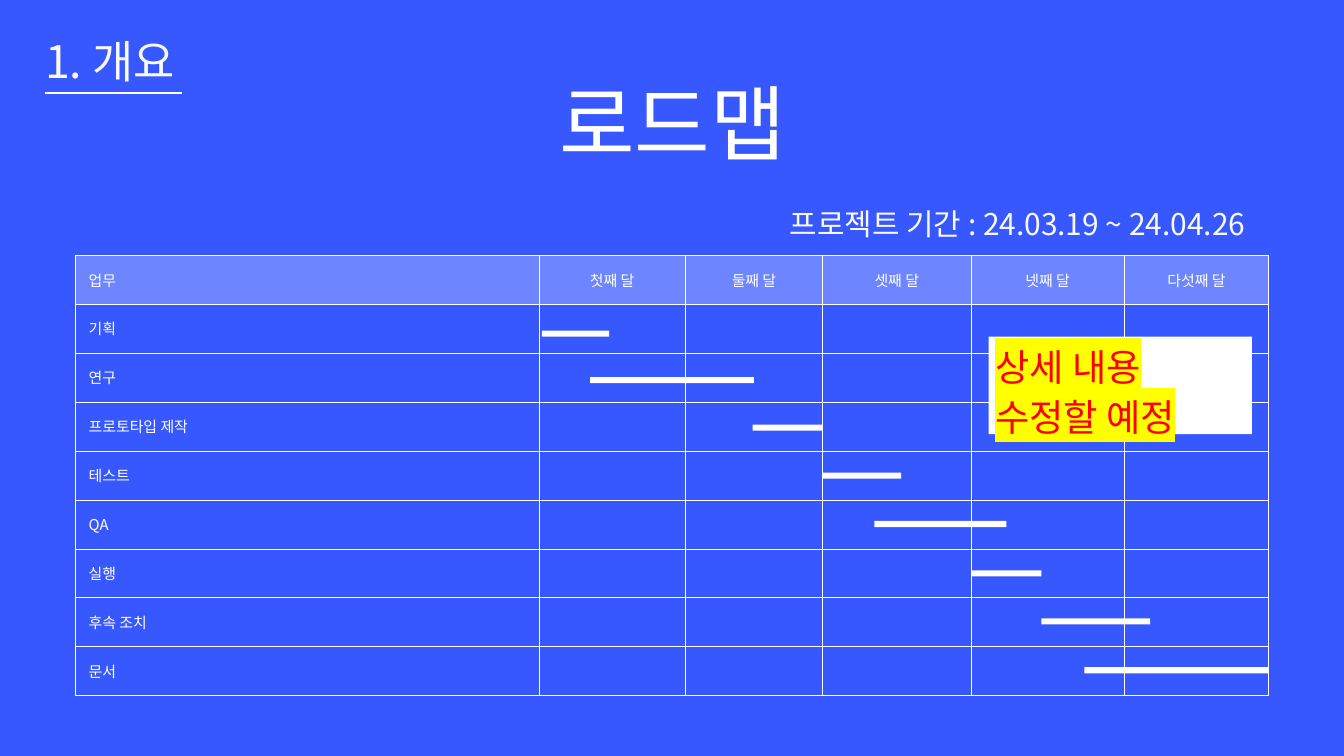
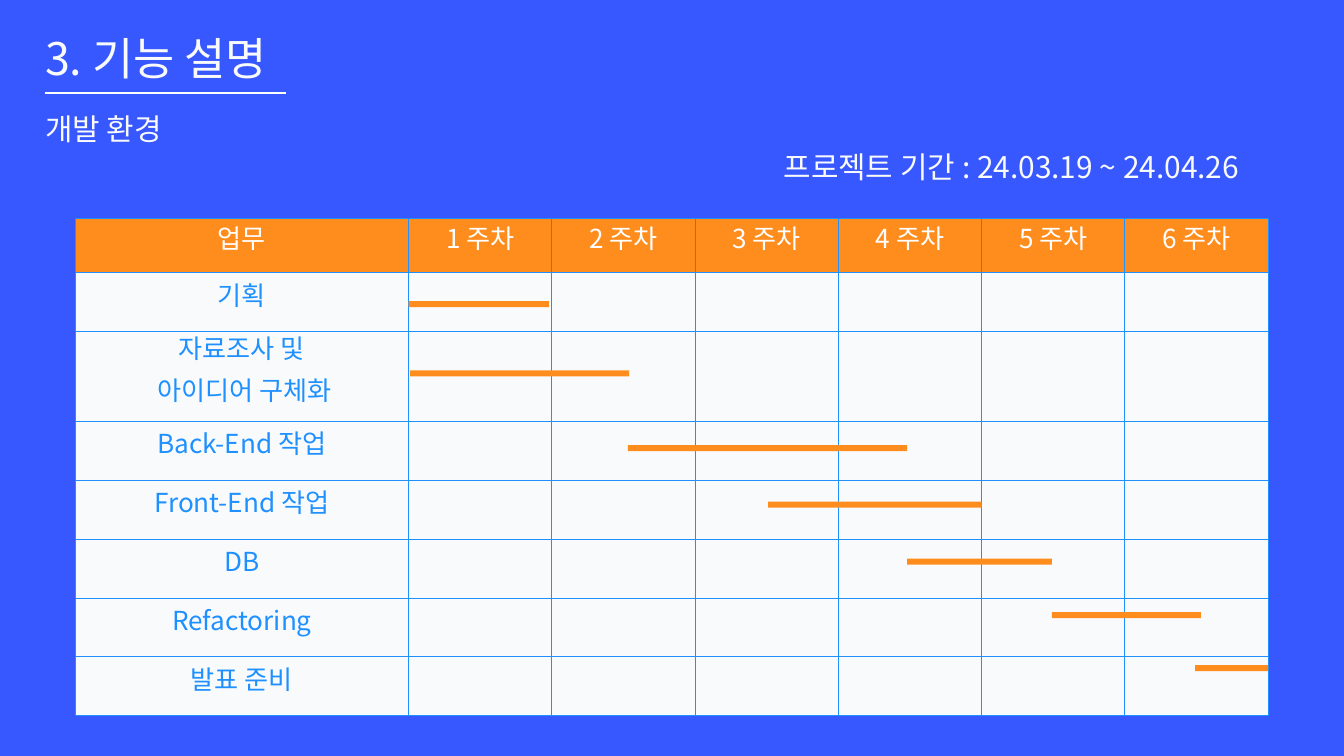
"""Build two project schedule slides, each a task table with time bars."""
from dataclasses import dataclass
from itertools import accumulate

from lxml import etree
from pptx import Presentation
from pptx.dml.color import RGBColor
from pptx.enum.shapes import MSO_CONNECTOR, MSO_SHAPE
from pptx.enum.text import MSO_ANCHOR, MSO_AUTO_SIZE, PP_ALIGN
from pptx.oxml.ns import qn
from pptx.util import Inches, Pt

LEFT, CENTER = PP_ALIGN.LEFT, PP_ALIGN.CENTER
TOP, MIDDLE = MSO_ANCHOR.TOP, MSO_ANCHOR.MIDDLE
GROW = MSO_AUTO_SIZE.SHAPE_TO_FIT_TEXT
STRAIGHT, RECTANGLE = MSO_CONNECTOR.STRAIGHT, MSO_SHAPE.RECTANGLE
TITLE_ONLY = 5
WIDTH, HEIGHT = Inches(20), Inches(11.25)
PERIOD = "프로젝트 기간 : 24.03.19 ~ 24.04.26"


@dataclass(frozen=True)
class Theme:
    """Colours, type sizes and spacings of the deck."""
    font: str = "Noto Sans CJK KR"
    blue: str = "3858FF"
    light_blue: str = "6D85FF"
    sky: str = "1E90FF"
    orange: str = "FF8D1E"
    white: str = "FFFFFF"
    paper: str = "F9FAFB"
    red: str = "FF0000"
    yellow: str = "FFFF00"
    title: int = 88
    heading: int = 48
    note: int = 40
    body: int = 32
    leading: float = 1.0
    heading_leading: float = 1.05
    note_leading: float = 1.1
    title_leading: float = 114.4
    cell_leading: float = 22.4


THEME = Theme()


@dataclass(frozen=True)
class TableLook:
    """Colours, type size, alignment and rules of one schedule table."""
    head_fill: str
    body_fill: str
    body_text: str
    bar: str
    rule: str
    size: int
    label_align: PP_ALIGN
    inner: float
    outer: float


MONTHLY = TableLook(THEME.light_blue, THEME.blue, THEME.white, THEME.white,
                    THEME.white, 16, LEFT, 0.4, 0.69)
WEEKLY = TableLook(THEME.orange, THEME.paper, THEME.sky, THEME.orange,
                   THEME.sky, 28, CENTER, 1, 1)


def across(percent):
    """Turn a percentage of the slide width into a length."""
    return round(WIDTH * percent / 100)


def down(percent):
    """Turn a percentage of the slide height into a length."""
    return round(HEIGHT * percent / 100)


def place(area):
    """Turn left, top, width and height percentages into lengths."""
    left, top, width, height = area
    return across(left), down(top), across(width), down(height)


def paint(shape, color):
    """Give a shape a plain fill without line or shadow."""
    shape.shadow.inherit = False
    shape.fill.solid()
    shape.fill.fore_color.rgb = RGBColor.from_string(color)
    shape.line.fill.background()


def add_span(para, text, size, color, highlight=None):
    """Add one formatted run to a paragraph."""
    span = para.add_run()
    span.text = text
    span.font.size = Pt(size)
    span.font.color.rgb = RGBColor.from_string(color)
    span.font.name = THEME.font
    latin = span.font._element.find(qn("a:latin"))
    east_asian = etree.Element(qn("a:ea"), typeface=THEME.font)
    latin.addnext(east_asian)
    if highlight:
        marker = etree.Element(qn("a:highlight"))
        etree.SubElement(marker, qn("a:srgbClr"), val=highlight)
        latin.addprevious(marker)


def write(shape, text, size, color=THEME.paper, align=LEFT,
          leading=THEME.leading, inset=True, highlight=None):
    """Write one top-anchored paragraph into a shape."""
    frame = shape.text_frame
    frame.word_wrap = True
    frame.auto_size = GROW
    frame.vertical_anchor = TOP
    if not inset:
        frame.margin_left = frame.margin_right = 0
        frame.margin_top = frame.margin_bottom = 0
    para = frame.paragraphs[0]
    para.alignment = align
    para.line_spacing = leading
    para.space_before = Pt(0)
    add_span(para, text, size, color, highlight)


def add_label(page, area, text, size, **style):
    """Add a plain text box."""
    write(page.shapes.add_textbox(*place(area)), text, size, inset=False,
          **style)


def set_title(page, area, text, size, **style):
    """Move the title placeholder and write into it."""
    title = page.shapes.title
    title.left, title.top, title.width, title.height = place(area)
    write(title, text, size, inset=False, **style)


def add_underline(page, width):
    """Draw the rule under the section heading."""
    left, top = across(3.35), down(12.27)
    line = page.shapes.add_connector(STRAIGHT, left, top,
                                     left + across(width), top)
    line.line.color.rgb = RGBColor.from_string(THEME.white)
    line.line.width = Pt(2)
    etree.SubElement(line._element.spPr, qn("a:effectLst"))


def add_note(page, area, text):
    """Add a white box with highlighted text."""
    box = page.shapes.add_shape(RECTANGLE, *place(area))
    paint(box, THEME.white)
    write(box, text, THEME.note, THEME.red, leading=THEME.note_leading,
          highlight=THEME.yellow)


def rule_cell(cell, color, widths):
    """Draw the four borders of a cell, widths in points by side."""
    properties = cell._tc.get_or_add_tcPr()
    for side, width in widths.items():
        line = etree.SubElement(properties, qn("a:ln" + side),
                                w=str(int(Pt(width))))
        fill = etree.SubElement(line, qn("a:solidFill"))
        etree.SubElement(fill, qn("a:srgbClr"), val=color)


def write_cell(cell, text, size, color, align):
    """Write the lines of a cell, one blank line's height apart."""
    cell.vertical_anchor = MIDDLE
    cell.margin_left = cell.margin_right = Inches(0.2)
    cell.margin_top = cell.margin_bottom = Inches(0.2)
    frame = cell.text_frame
    for index, line in enumerate(text.split("\n")):
        para = frame.add_paragraph() if index else frame.paragraphs[0]
        para.alignment = align
        para.line_spacing = Pt(THEME.cell_leading)
        if index:
            para.space_before = Pt(THEME.cell_leading)
        add_span(para, line, size, color)


def edge(edges, position):
    """Find a place between grid edges, such as 1.5 for mid second cell."""
    index = min(int(position), len(edges) - 2)
    return edges[index] + (edges[index + 1] - edges[index]) * (position - index)


def add_schedule(page, top, columns, rows, header, tasks, look):
    """Add a task table and the bar of each task."""
    left = 5.6
    last_row, last_column = len(rows) - 1, len(columns) - 1
    table = page.shapes.add_table(
        len(rows), len(columns),
        *place((left, top, sum(columns), sum(rows)))).table
    table.first_row = table.horz_banding = False
    for column, width in zip(table.columns, columns):
        column.width = across(width)
    for row, height in zip(table.rows, rows):
        row.height = down(height)

    grid = [header] + [[task[0]] + [""] * last_column for task in tasks]
    for r, texts in enumerate(grid):
        for c, text in enumerate(texts):
            cell = table.cell(r, c)
            at_border = {"L": c == 0, "R": c == last_column,
                         "T": r == 0, "B": r == last_row}
            rule_cell(cell, look.rule,
                      {side: look.outer if outside else look.inner
                       for side, outside in at_border.items()})
            cell.fill.solid()
            cell.fill.fore_color.rgb = RGBColor.from_string(
                look.body_fill if r else look.head_fill)
            if text:
                write_cell(cell, text, look.size,
                           look.body_text if r else THEME.white,
                           CENTER if c else look.label_align)

    column_edges = list(accumulate(columns, initial=left))[1:]
    row_edges = list(accumulate(rows, initial=top))
    for _, start, end, level in tasks:
        begin = edge(column_edges, start)
        length = edge(column_edges, end) - begin
        area = begin, edge(row_edges, level), length, 0.8
        paint(page.shapes.add_shape(RECTANGLE, *place(area)), look.bar)


def build_roadmap(page):
    """Build the monthly roadmap slide."""
    set_title(page, (26.45, 8.44, 47.15, 12.53), "로드맵", THEME.title,
              color=THEME.white, align=CENTER,
              leading=Pt(THEME.title_leading))
    tasks = [("기획", 0.02, 0.48, 1.54), ("연구", 0.35, 1.5, 2.49),
             ("프로토타입 제작", 1.49, 2, 3.46), ("테스트", 2, 2.53, 4.44),
             ("QA", 2.35, 3.23, 5.43), ("실행", 3, 3.46, 6.44),
             ("후속 조치", 3.46, 4.18, 7.42), ("문서", 3.74, 5, 8.42)]
    months = ["첫째 달", "둘째 달", "셋째 달", "넷째 달", "다섯째 달"]
    add_schedule(page, 33.78, [34.5, 10.9, 10.2, 11.05, 11.4, 10.75],
                 [6.47] * 9, ["업무"] + months, tasks, MONTHLY)
    add_label(page, (3.35, 4.09, 10.2, 7.2), "1. 개요", THEME.heading,
              leading=THEME.heading_leading)
    add_underline(page, 10.2)
    add_note(page, (73.55, 44.53, 19.6, 12.89), "상세 내용 수정할 예정")
    add_label(page, (58.75, 27.2, 36.05, 4.8), PERIOD, THEME.body)


def build_weekly_plan(page):
    """Build the weekly plan slide."""
    set_title(page, (3.35, 4.09, 38.35, 7.2), "3. 기능 설명", THEME.heading)
    add_underline(page, 17.9)
    add_label(page, (3.35, 14.67, 17.9, 4.8), "개발 환경", THEME.body)
    tasks = [("기획", 0, 0.98, 1.48),
             ("자료조사 및\n 아이디어 구체화", 0.01, 1.54, 2.43),
             ("Back-End 작업", 1.53, 3.48, 3.4),
             ("Front-End 작업", 2.51, 4, 4.36), ("DB", 3.48, 4.49, 5.33),
             ("Refactoring", 4.49, 5.53, 6.24), ("발표 준비", 5.49, 6, 7.14)]
    weeks = [f"{week} 주차" for week in range(1, 7)]
    add_schedule(page, 28.89, [24.8] + [10.66] * 6,
                 [7.2, 7.78, 11.9] + [7.78] * 5, ["업무"] + weeks, tasks, WEEKLY)
    add_label(page, (58.3, 19.64, 36.05, 4.8), PERIOD, THEME.body)


def main():
    """Build and save the deck."""
    deck = Presentation()
    deck.slide_width, deck.slide_height = WIDTH, HEIGHT
    backdrop = deck.slide_master.background.fill
    backdrop.solid()
    backdrop.fore_color.rgb = RGBColor.from_string(THEME.blue)
    for build in (build_roadmap, build_weekly_plan):
        build(deck.slides.add_slide(deck.slide_layouts[TITLE_ONLY]))
    deck.save("out.pptx")


if __name__ == "__main__":
    main()
